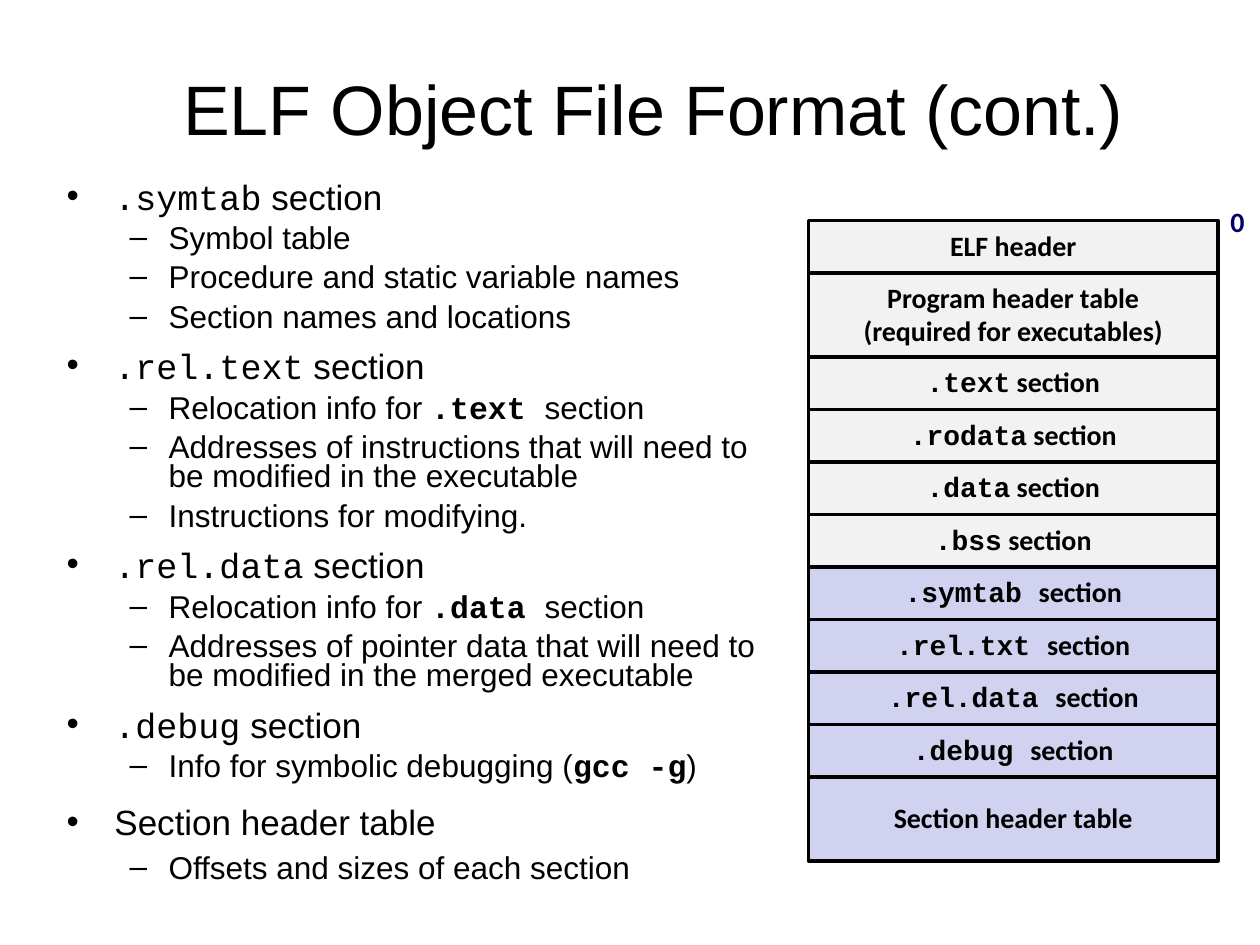
from dataclasses import dataclass

from lxml import etree
from pptx import Presentation, util as u
from pptx.dml.color import RGBColor
from pptx.enum import shapes, text
from pptx.oxml.ns import qn

WIDE, HIGH = 10, 7.5
UNIT = 1 / 12  # grid step of the section stack, in inches
SANS, MONO, LABEL = "Arial", "Courier New", "Calibri"
BLACK, NAVY, GREY, LILAC = "000000", "000066", "F2F2F2", "D1D1F0"


@dataclass
class Level:
    mark: str
    size: int
    left: float
    hang: float
    gap: float
    bold: bool  # weight of code words


@dataclass
class Item:
    level: int
    words: str  # code stands between backticks
    lead: float


@dataclass
class Part:
    lines: list[str]
    fill: str
    rows: int = 5
    lead: float = 0.94


LEVELS = [
    Level("•", 20, 0.38, 0.38, 12.5, False),
    Level("–", 18, 0.81, 0.31, 5.6, True),
]

TOPICS = [
    ("`.symtab` section", ["Symbol table", "Procedure and static variable names",
                           "Section names and locations"]),
    ("`.rel.text` section", [
        "Relocation info for `.text `section",
        "Addresses of instructions that will need to be modified in the executable",
        "Instructions for modifying."]),
    ("`.rel.data` section", [
        "Relocation info for `.data `section",
        "Addresses of pointer data that will need to be modified in the merged executable"]),
    ("`.debug` section", ["Info for symbolic debugging (`gcc -g`)"]),
    ("Section header table", ["Offsets and sizes of each section"]),
]

PARTS = [
    Part(["ELF header"], GREY, lead=0.98),
    Part(["Program header table", "(required for executables)"], GREY, 8, 0.98),
    *[Part([f"`.{name}` section"], GREY) for name in ("text", "rodata", "data", "bss")],
    *[Part([f"`.{name} `section"], LILAC)
      for name in ("symtab", "rel.txt", "rel.data", "debug")],
    Part(["Section header table"], LILAC, 8, 0.98),
]


def paint(color: str) -> RGBColor:
    return RGBColor.from_string(color)


def place(shape, left: float, top: float, width: float, height: float) -> None:
    shape.left, shape.top = u.Inches(left), u.Inches(top)
    shape.width, shape.height = u.Inches(width), u.Inches(height)


def write(para, words: str, size: int, font: str, color: str = BLACK,
          bold: bool = False, strong: bool = False) -> None:
    """Add runs; words between backticks are code, bold if strong."""
    for i, piece in enumerate(words.split("`")):
        if piece:
            code = i % 2 == 1
            run = para.add_run()
            run.text = piece
            run.font.name = MONO if code else font
            run.font.size = u.Pt(size)
            run.font.bold = strong if code else bold
            run.font.color.rgb = paint(color)


def next_para(frame, first: bool):
    return frame.paragraphs[0] if first else frame.add_paragraph()


def bullet(para, level: Level) -> None:
    props = para._p.get_or_add_pPr()
    props.set("marL", str(u.Inches(level.left)))
    props.set("indent", str(-u.Inches(level.hang)))
    color = etree.SubElement(props, qn("a:buClr"))
    etree.SubElement(color, qn("a:srgbClr"), val=BLACK)
    etree.SubElement(props, qn("a:buFont"), typeface=SANS)
    etree.SubElement(props, qn("a:buChar"), char=level.mark)


def draw_title(slide, words: str) -> None:
    title = slide.shapes.title
    place(title, 0.42, 0.42, 9.53, 0.86)
    frame = title.text_frame
    frame.auto_size = text.MSO_AUTO_SIZE.NONE
    frame.vertical_anchor = text.MSO_ANCHOR.MIDDLE
    para = frame.paragraphs[0]
    para.alignment = text.PP_ALIGN.CENTER
    write(para, words, 40, SANS)


def draw_list(slide, items: list[Item]) -> None:
    box = slide.shapes.add_textbox(0, 0, 0, 0)
    place(box, 0.43, 1.43, 5.77, 5.98)
    frame = box.text_frame
    frame.word_wrap = True
    for i, item in enumerate(items):
        level = LEVELS[item.level]
        para = next_para(frame, i == 0)
        para.level = item.level
        para.line_spacing = item.lead
        para.space_before = u.Pt(level.gap)
        bullet(para, level)
        write(para, item.words, level.size, SANS, strong=level.bold)


def draw_part(slide, part: Part, row: int) -> None:
    box = slide.shapes.add_shape(shapes.MSO_SHAPE.RECTANGLE, 0, 0, 0, 0)
    place(box, 77 * UNIT, row * UNIT, 39 * UNIT, part.rows * UNIT)
    box.shadow.inherit = False
    box.fill.solid()
    box.fill.fore_color.rgb = paint(part.fill)
    box.line.color.rgb = paint(BLACK)
    box.line.width = u.Pt(2)
    frame = box.text_frame
    frame.word_wrap = False
    frame.vertical_anchor = text.MSO_ANCHOR.MIDDLE
    for i, line in enumerate(part.lines):
        para = next_para(frame, i == 0)
        para.alignment = text.PP_ALIGN.CENTER
        para.line_spacing = part.lead
        write(para, line, 16, LABEL, bold=True, strong=True)


def draw_stack(slide, parts: list[Part]) -> None:
    row = 21
    for part in parts:
        draw_part(slide, part, row)
        row += part.rows


def draw_start(slide) -> None:
    """Mark offset zero beside the top of the stack."""
    box = slide.shapes.add_textbox(0, 0, 0, 0)
    place(box, 116 * UNIT, 19 * UNIT, 0.31, 0.36)
    frame = box.text_frame
    frame.word_wrap = False
    frame.auto_size = text.MSO_AUTO_SIZE.SHAPE_TO_FIT_TEXT
    para = frame.paragraphs[0]
    para.line_spacing = 0.98
    write(para, "0", 16, LABEL, NAVY, bold=True)


def main() -> None:
    deck = Presentation()
    deck.slide_width, deck.slide_height = u.Inches(WIDE), u.Inches(HIGH)
    slide = deck.slides.add_slide(deck.slide_layouts[5])
    draw_title(slide, "ELF Object File Format (cont.)")
    items = []
    for head, points in TOPICS:
        last = head == TOPICS[-1][0]
        items.append(Item(0, head, 0.88 if last else 0.71))
        items += [Item(1, point, 0.88 if last else 0.78) for point in points]
    draw_list(slide, items)
    draw_stack(slide, PARTS)
    draw_start(slide)
    deck.save("out.pptx")


if __name__ == "__main__":
    main()
